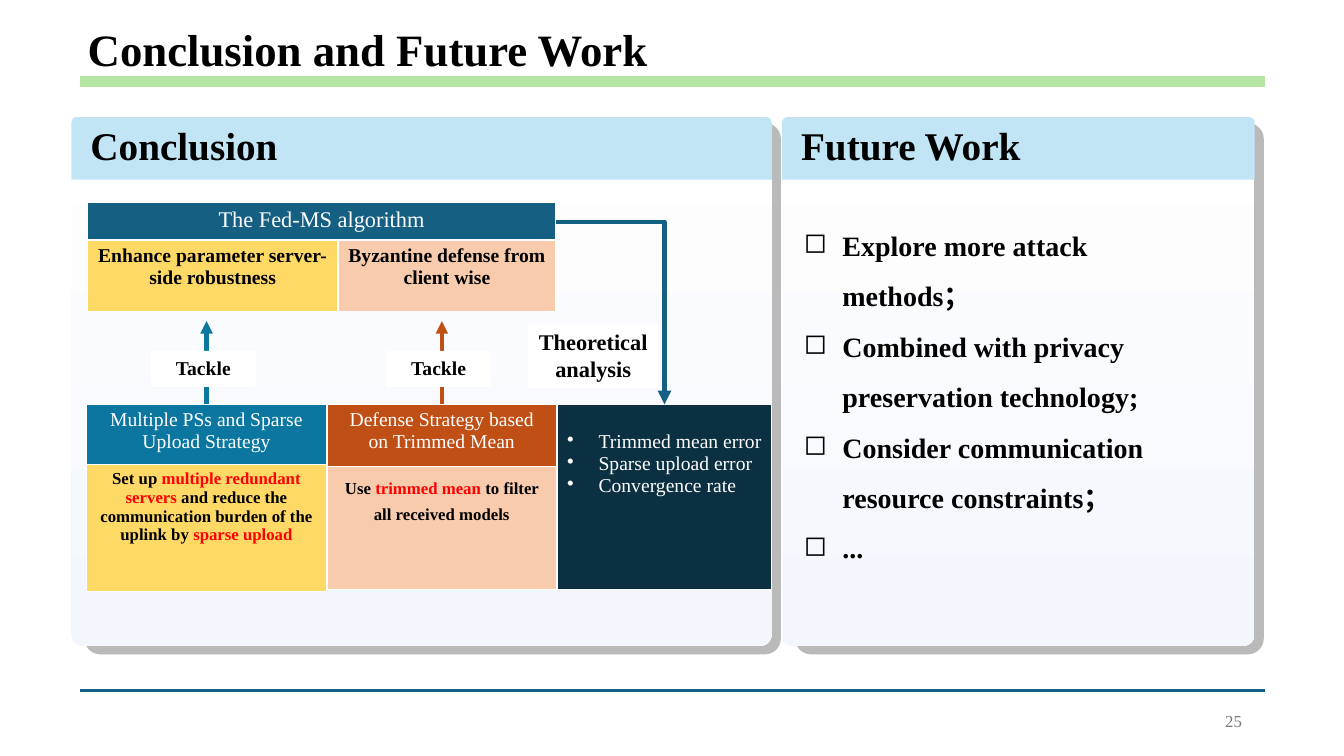
from dataclasses import dataclass
from typing import NamedTuple

from lxml import etree
from pptx import Presentation
from pptx.dml.color import RGBColor
from pptx.enum.shapes import MSO_CONNECTOR, MSO_SHAPE
from pptx.enum.text import MSO_ANCHOR, PP_ALIGN
from pptx.oxml.ns import qn
from pptx.util import Cm, Pt

LEFT, MID, RIGHT = PP_ALIGN.LEFT, PP_ALIGN.CENTER, PP_ALIGN.RIGHT
TOP, CENTER = MSO_ANCHOR.TOP, MSO_ANCHOR.MIDDLE
LINE, ELBOW = MSO_CONNECTOR.STRAIGHT, MSO_CONNECTOR.ELBOW
RECT, ROUND = MSO_SHAPE.RECTANGLE, MSO_SHAPE.ROUNDED_RECTANGLE
CAP = MSO_SHAPE.ROUND_2_SAME_RECTANGLE


@dataclass(frozen=True)
class Theme:
    font: str = "Times New Roman"
    black: str = "000000"
    white: str = "FFFFFF"
    red: str = "FF0000"
    gray: str = "797979"
    shade: str = "A6A6A6"
    pale: str = "F3F6FC"
    sky: str = "C1E5F5"
    green: str = "B4E5A2"
    teal: str = "156082"
    blue: str = "0B76A0"
    navy: str = "0B3041"
    rust: str = "C04F15"
    gold: str = "FFD966"
    peach: str = "F8CBAD"
    title: int = 32
    head: int = 28
    list: int = 20
    label: int = 16
    body: int = 14
    small: int = 12


T = Theme()


class Box(NamedTuple):
    x: float
    y: float
    w: float
    h: float

    def cm(self):
        return [Cm(v) for v in self]


def rgb(code):
    return RGBColor.from_string(code)


def add(parent, tag, **attrs):
    node = etree.SubElement(parent, qn(tag))
    for key, value in attrs.items():
        node.set(key, str(value))
    return node


def put(frame, paras, size=T.body, color=T.black, bold=False, align=LEFT,
        lead=None, mark=None, indent=0):
    """Fill a text frame; a paragraph is a string or a list of (text, color)."""
    for i, para in enumerate(paras):
        p = frame.paragraphs[0] if i == 0 else frame.add_paragraph()
        p.alignment = align
        if lead:
            p.line_spacing = lead
        if mark:
            props = p._p.get_or_add_pPr()
            props.set("marL", str(Cm(indent)))
            props.set("indent", str(-Cm(indent)))
            add(props, "a:buChar", char=mark)
        for text, tint in [(para, color)] if isinstance(para, str) else para:
            run = p.add_run()
            run.text = text
            font = run.font
            font.name, font.size, font.bold = T.font, Pt(size), bold
            font.color.rgb = rgb(tint)


def note(slide, box, paras, anchor=TOP, **style):
    frame = slide.shapes.add_textbox(*box.cm()).text_frame
    frame.word_wrap = True
    frame.vertical_anchor = anchor
    put(frame, paras, **style)


def block(slide, kind, box, color, round_by=None):
    shape = slide.shapes.add_shape(kind, *box.cm())
    shape.shadow.inherit = False
    shape.line.fill.background()
    shape.fill.solid()
    shape.fill.fore_color.rgb = rgb(color)
    if round_by is not None:
        shape.adjustments[0] = round_by / min(box.w, box.h)
    return shape


def label(slide, box, paras, size):
    frame = block(slide, RECT, box, T.white).text_frame
    frame.word_wrap = False
    frame.vertical_anchor = TOP
    put(frame, paras, size=size, bold=True, align=MID)


def link(slide, start, end, color, width, kind=LINE, arrow=False):
    wire = slide.shapes.add_connector(kind, *[Cm(v) for v in (*start, *end)])
    wire.line.color.rgb = rgb(color)
    wire.line.width = Pt(width)
    if kind == ELBOW:
        wire._element.spPr.find(qn("a:prstGeom")).set("prst", "bentConnector2")
    if arrow:
        add(wire.line._get_or_add_ln(), "a:tailEnd", type="triangle")
    add(wire._element.spPr, "a:effectLst")


def edge(cell):
    props = cell._tc.get_or_add_tcPr()
    for i, side in enumerate("LRTB"):
        line = etree.Element(qn(f"a:ln{side}"), w=str(Pt(1)))
        add(add(line, "a:solidFill"), "a:srgbClr", val=T.white)
        props.insert(i, line)


def grid(slide, x, y, cols, rows, fills):
    """Add a table whose cells take the given rows of fill colors."""
    box = Box(x, y, sum(cols), sum(rows))
    table = slide.shapes.add_table(len(rows), len(cols), *box.cm()).table
    table.first_row = table.horz_banding = False
    for col, width in zip(table.columns, cols):
        col.width = Cm(width)
    for row, height, tints in zip(table.rows, rows, fills):
        row.height = Cm(height)
        for cell, tint in zip(row.cells, tints):
            cell.fill.solid()
            cell.fill.fore_color.rgb = rgb(tint)
            edge(cell)
    return table


def panel(slide, box, head):
    shade = block(slide, ROUND, Box(box.x + 0.33, box.y + 0.18, box.w - 0.1, box.h + 0.03),
                  T.shade, 0.4)
    tint = shade.fill._xPr.find(qn("a:solidFill"))[0]
    add(tint, "a:alpha", val=77000)
    fill = block(slide, ROUND, box, T.white, 0.3).fill
    fill.gradient()
    fill.gradient_angle = 270
    for stop, color in zip(fill.gradient_stops, (T.white, T.pale)):
        stop.color.rgb = rgb(color)
    block(slide, CAP, Box(box.x, box.y + 0.03, box.w, 1.58), T.sky, 0.14)
    note(slide, Box(box.x + 0.23, box.y, box.w - 1, 1.4), [head], size=T.head, bold=True)


def tackle(slide, x, base, color):
    link(slide, (x, base), (x, base - 2.1), color, 3, arrow=True)
    label(slide, Box(x - 1.4, base - 1.35, 2.64, 0.91), ["Tackle"], T.body)


def result(slide, box):
    """Draw the panel of conclusions with its diagram."""
    panel(slide, box, "Conclusion")
    x, y = box.x + 0.4, box.y + 2.19
    cols = 6.32, 5.49
    goals = grid(slide, x, y, cols, (0.94, 1.8), [(T.teal, T.teal), (T.gold, T.peach)])
    goals.cell(0, 0).merge(goals.cell(0, 1))
    put(goals.cell(0, 0).text_frame, ["The Fed-MS algorithm"], size=T.label,
        color=T.white, align=MID)
    for i, text in enumerate(("Enhance parameter server-side robustness",
                              "Byzantine defense from client wise")):
        put(goals.cell(1, i).text_frame, [text], bold=True, align=MID)

    left, base, gap = box.x + 0.38, box.y + 7.27, 0.02
    plans = [
        (6.05, (1.52, 3.2), T.blue, T.gold, None, "Multiple PSs and Sparse Upload Strategy",
         [("Set up ", T.black), ("multiple redundant servers", T.red),
          (" and reduce the communication burden of the uplink by ", T.black),
          ("sparse upload", T.red)]),
        (5.77, (1.57, 3.1), T.rust, T.peach, 1.4, "Defense Strategy based on Trimmed Mean",
         [("Use ", T.black), ("trimmed mean", T.red),
          (" to filter all received models", T.black)]),
    ]
    for width, rows, dark, light, lead, head, text in plans:
        plan = grid(slide, left, base, [width], rows, [[dark], [light]])
        put(plan.cell(0, 0).text_frame, [head], color=T.white, align=MID)
        put(plan.cell(1, 0).text_frame, [text], size=T.small, bold=True, align=MID, lead=lead)
        tackle(slide, left + width / 2, base, dark)
        left += width + gap

    width = box.x + box.w - left
    proof = grid(slide, left, base, [width], [4.67], [[T.navy]]).cell(0, 0)
    proof.margin_top = Cm(0.68)
    put(proof.text_frame, ["Trimmed mean error", "Sparse upload error", "Convergence rate"],
        color=T.white, mark="•", indent=0.79)
    link(slide, (x + sum(cols), y + 0.48), (left + width / 2, base), T.teal, 3.25,
         kind=ELBOW, arrow=True)
    label(slide, Box(left - 0.73, base - 2.04, 3.28, 1.63), ["Theoretical", "analysis"], T.label)


def future(slide, box):
    panel(slide, box, "Future Work")
    note(slide, Box(box.x + 0.3, box.y + 2.29, 11.05, 10.62),
         ["Explore more attack methods；", "Combined with privacy preservation technology;",
          "Consider communication resource constraints；", "..."],
         size=T.list, bold=True, lead=1.5, mark="◻", indent=0.97)


def frame(slide, box, title, page):
    """Draw the title, both rules and the page number."""
    for y, color, width in ((box.y, T.green, 7.75), (box.y + box.h, T.teal, 1.5)):
        link(slide, (box.x, y), (box.x + box.w, y), color, width)
    note(slide, Box(box.x - 0.05, box.y - 1.63, 29.16, 1.63), [title], size=T.title, bold=True)
    note(slide, Box(box.x + box.w - 7.95, box.y + box.h + 0.25, 7.62, 1.02), [page],
         anchor=CENTER, size=T.small, color=T.gray, align=RIGHT)


def main():
    deck = Presentation()
    deck.slide_width, deck.slide_height = Cm(33.87), Cm(19.05)
    slide = deck.slides.add_slide(deck.slide_layouts[6])
    frame(slide, Box(2.01, 2.06, 29.87, 15.34), "Conclusion and Future Work", "25")
    result(slide, Box(1.8, 2.92, 17.65, 13.36))
    future(slide, Box(19.71, 2.92, 11.91, 13.36))
    deck.save("out.pptx")


if __name__ == "__main__":
    main()
